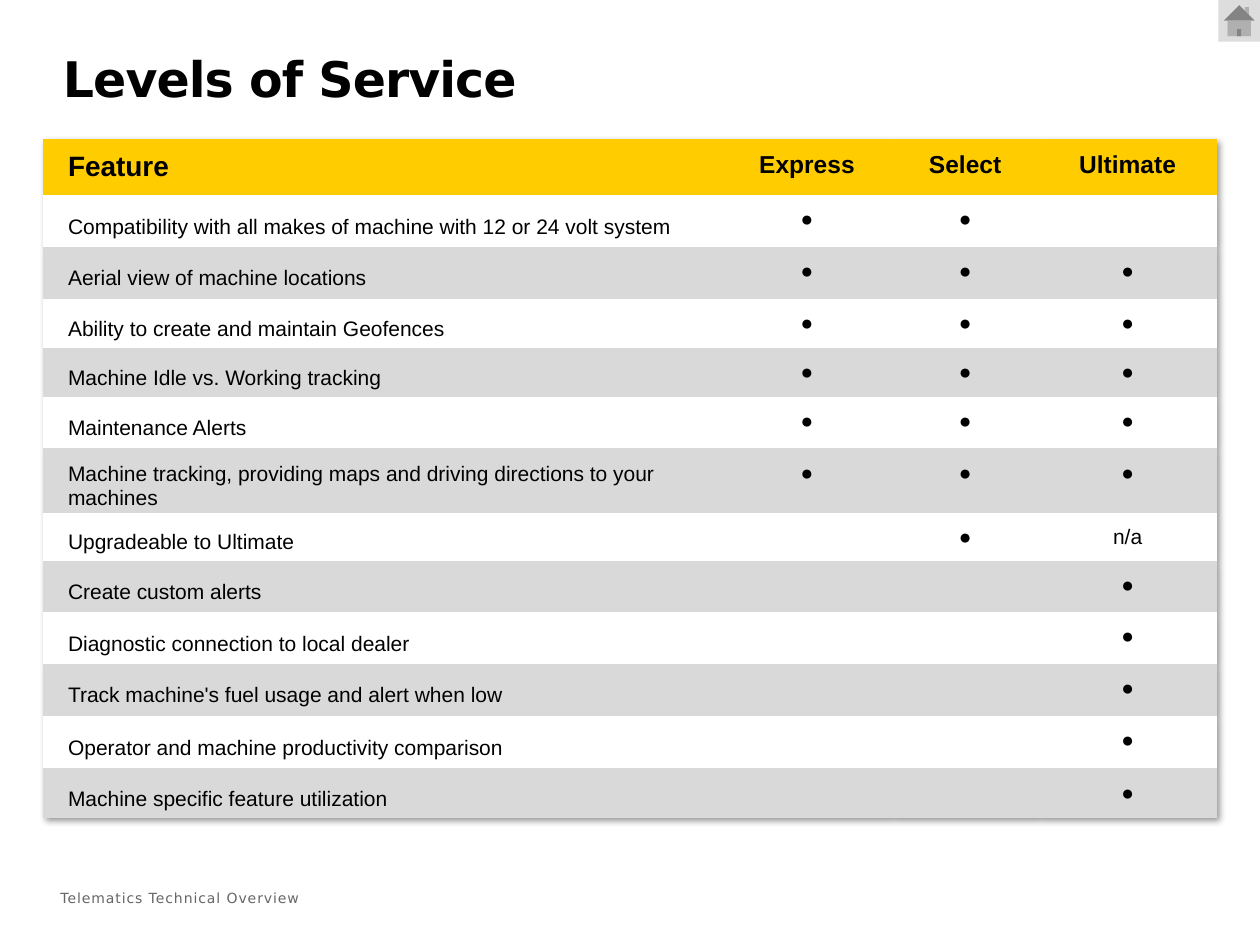
from lxml import etree
from pptx import Presentation
from pptx import util as u
from pptx.dml.color import RGBColor
from pptx.enum import shapes, text
from pptx.oxml.ns import qn

DOT = "●"
HEADINGS = ("Feature", "Express", "Select", "Ultimate")
FEATURES = (
    (0.41, "Compatibility with all makes of machine with 12 or 24 volt system", DOT, DOT, ""),
    (0.41, "Aerial view of machine locations", DOT, DOT, DOT),
    (0.39, "Ability to create and maintain Geofences", DOT, DOT, DOT),
    (0.39, "Machine Idle vs. Working tracking", DOT, DOT, DOT),
    (0.41, "Maintenance Alerts", DOT, DOT, DOT),
    (0.49, "Machine tracking, providing maps and driving directions to your machines", DOT, DOT, DOT),
    (0.38, "Upgradeable to Ultimate", "", DOT, "n/a"),
    (0.41, "Create custom alerts", "", "", DOT),
    (0.41, "Diagnostic connection to local dealer", "", "", DOT),
    (0.41, "Track machine's fuel usage and alert when low", "", "", DOT),
    (0.42, "Operator and machine productivity comparison", "", "", DOT),
    (0.39, "Machine specific feature utilization", "", "", DOT),
)
COLUMN_WIDTHS = (5.39, 1.35, 1.16, 1.42)
HEADER_HEIGHT = 0.45


def color(value):
    return RGBColor.from_string(value)


def apply(target, formats):
    for name, value in formats.items():
        setattr(target, name, value)


def paint(target, value):
    target.fill.solid()
    target.fill.fore_color.rgb = color(value)


def write(paragraph, words, size, font="Arial", ink="000000", bold=False):
    run = paragraph.add_run()
    run.text = words
    apply(run.font, {"size": u.Pt(size), "name": font, "bold": bold})
    run.font.color.rgb = color(ink)
    return run


def add_label(slide, box, words, size, ink, spacing, bold=False, leading=None):
    label = slide.shapes.add_textbox(*map(u.Inches, box))
    apply(label.text_frame, {
        "word_wrap": True, "vertical_anchor": text.MSO_ANCHOR.MIDDLE,
        "margin_left": 0, "margin_right": 0, "margin_top": 0, "margin_bottom": 0,
    })
    line = label.text_frame.paragraphs[0]
    if leading:
        line.line_spacing = u.Pt(leading)
    run = write(line, words, size, "DejaVu Sans", ink, bold)
    run.font._element.set("spc", str(spacing))


def add_home_button(slide):
    box = map(u.Inches, (9.67, 0, 0.33, 0.33))
    home = slide.shapes.add_shape(shapes.MSO_SHAPE.ACTION_BUTTON_HOME, *box)
    home.shadow.inherit = False
    paint(home, "DDDDDD")
    home.line.fill.background()


def fill_cell(cell, words, band, size, bold, is_feature, anchor):
    apply(cell, {
        "margin_left": u.Inches(0.2), "margin_right": u.Inches(0.2),
        "margin_top": u.Inches(0.1 if words else 0.05), "margin_bottom": u.Inches(0.01),
        "vertical_anchor": anchor,
    })
    paint(cell, band)
    line = cell.text_frame.paragraphs[0]
    line.alignment = text.PP_ALIGN.LEFT if is_feature else text.PP_ALIGN.CENTER
    if words:
        write(line, words, size, bold=bold)


def style_table(table):
    apply(table, {"first_row": False, "horz_banding": False})
    properties = table._tbl.tblPr
    properties.find(qn("a:tableStyleId")).text = "{2D5ABB26-0587-4C30-8999-92F81FD0307C}"
    effects = etree.Element(qn("a:effectLst"))
    shadow = etree.SubElement(effects, qn("a:outerShdw"), blurRad="50800",
                              dist="38100", dir="2700000", algn="tl", rotWithShape="0")
    black = etree.SubElement(shadow, qn("a:srgbClr"), val="000000")
    etree.SubElement(black, qn("a:alpha"), val="40000")
    properties.insert(0, effects)


def add_service_table(slide):
    heights = [HEADER_HEIGHT] + [feature[0] for feature in FEATURES]
    box = map(u.Inches, (0.34, 1.1, sum(COLUMN_WIDTHS), sum(heights)))
    table = slide.shapes.add_table(len(heights), len(COLUMN_WIDTHS), *box).table
    style_table(table)
    for column, width in zip(table.columns, COLUMN_WIDTHS):
        column.width = u.Inches(width)
    for row, height in zip(table.rows, heights):
        row.height = u.Inches(height)
    top, middle = text.MSO_ANCHOR.TOP, text.MSO_ANCHOR.MIDDLE
    for col, heading in enumerate(HEADINGS):
        fill_cell(table.cell(0, col), heading, "FFCC00", 14 if col else 16, True, col == 0, top)
    for row, (_, *entries) in enumerate(FEATURES, 1):
        band = "FFFFFF" if row % 2 else "D9D9D9"
        for col, entry in enumerate(entries):
            fill_cell(table.cell(row, col), entry, band, 12, False, col == 0, top if col else middle)


def main():
    deck = Presentation()
    apply(deck, {"slide_width": u.Inches(10), "slide_height": u.Inches(7.5)})
    slide = deck.slides.add_slide(deck.slide_layouts[6])
    paint(slide.background, "FFFFFF")
    add_label(slide, (0.48, 6.98, 5.5, 0.3), "Telematics Technical Overview", 8, "666666", 50)
    add_home_button(slide)
    add_label(slide, (0.5, 0.32, 9, 0.71), "Levels of Service", 28, "000000", -50, True, 26)
    add_service_table(slide)
    deck.save("out.pptx")


if __name__ == "__main__":
    main()
